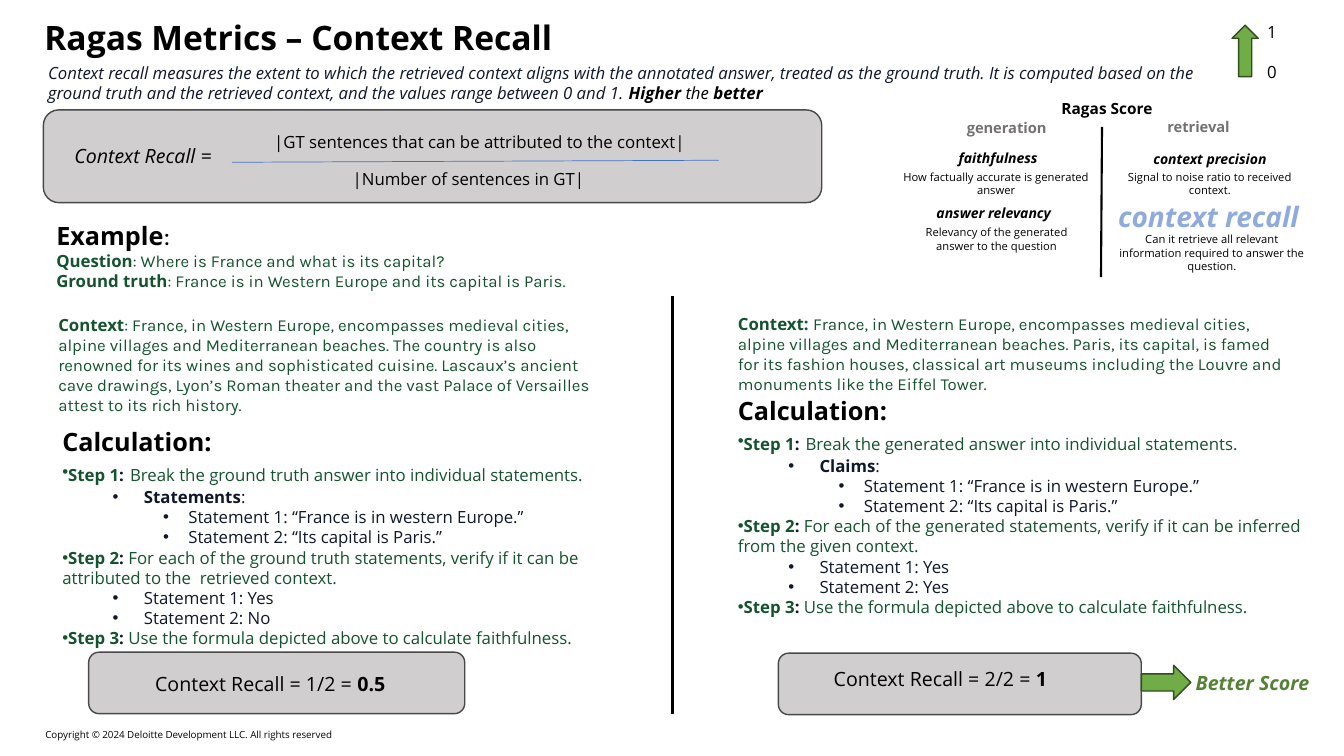
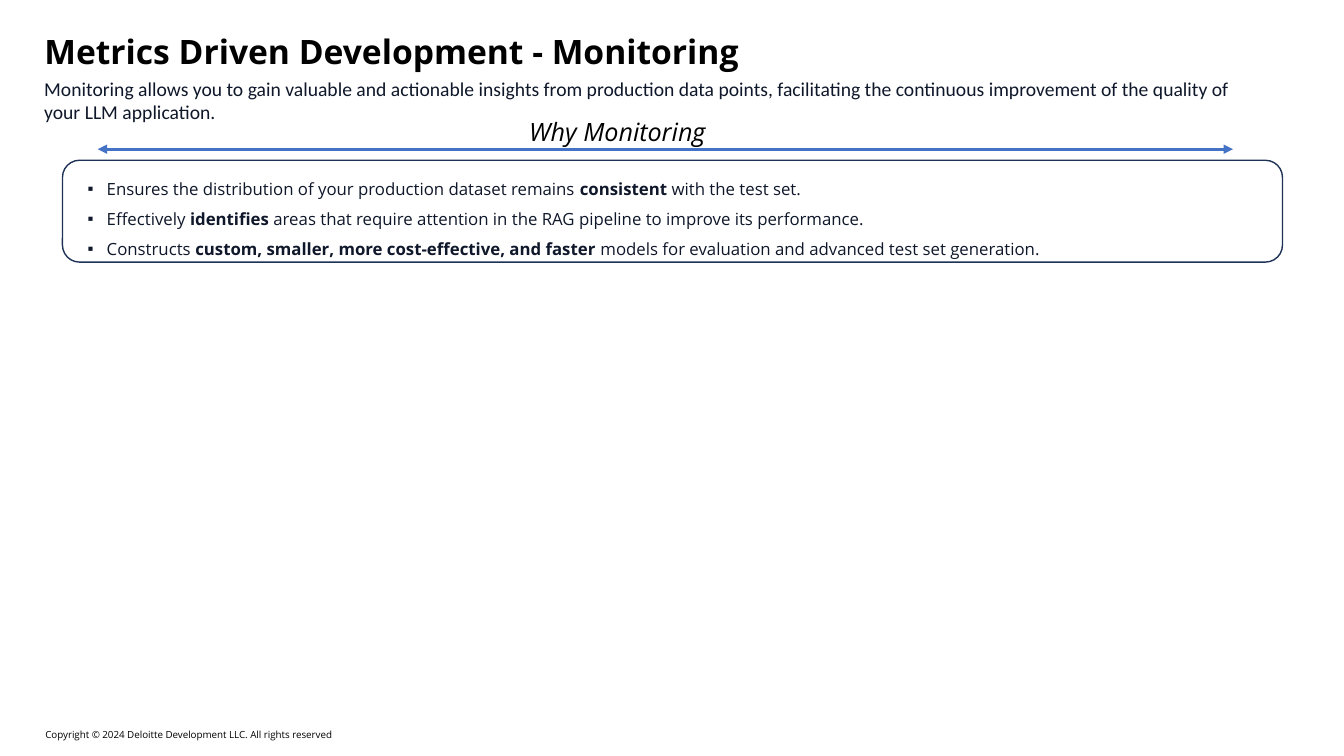
"""Build two slides on Ragas context recall and on monitoring."""
from lxml.etree import SubElement as Sub
from pptx import Presentation
from pptx.dml.color import RGBColor as Rgb
from pptx.enum.shapes import MSO_CONNECTOR as Link, MSO_SHAPE as Form
from pptx.enum.text import MSO_AUTO_SIZE as Auto, PP_ALIGN as Align
from pptx.oxml.ns import qn
from pptx.util import Inches as In, Pt


class Theme:
    """Colours, fonts and type sizes of the deck."""
    black, ink, forest, grey = "000000", "0F172A", "14532D", "767171"
    panel, edge, navy = "D0CECE", "484848", "1E3256"
    blue, pale = "4472C4", "8FAADC"
    leaf, stem, moss = "70AD47", "314C1F", "548235"
    sans, body, soft = "Open Sans", "Calibri", "Karla"
    title, focus, head, lead, text = 24, 20, 18, 14, 12
    score, label, term, note, foot = 11, 10.5, 10, 8, 7


T = Theme
BOLD = dict(bold=True)
SLANT = dict(italic=True)
GREEN = dict(color=T.forest)
STRONG = dict(font=T.sans, bold=True)
BULLETS = {0: (0, 0), 1: (0.81, -0.31), 2: (1.25, -0.25)}

FOOT = "Copyright © 2024 Deloitte Development LLC. All rights reserved"

RECALL = dict(
    title="Ragas Metrics – Context Recall",
    lead=[
        ("Context recall measures the extent to which the retrieved context aligns with the "
         "annotated answer, treated as the ground truth. It is computed based on the ground truth "
         "and the retrieved context, and the values range between 0 and 1.", dict(color=T.ink)),
        (" Higher", BOLD), (" the ", {}), ("better", BOLD)],
    sample=[
        [("Example", dict(size=T.head, color=T.black, **STRONG)),
         (":", dict(size=T.head, color=T.black, font=T.body))],
        [("Question", STRONG), ": Where is France and what is its capital?"],
        [("Ground truth", STRONG), ": France is in Western Europe and its capital is Paris."]],
)

KINDS = dict(
    score=dict(size=T.score, bold=True),
    label=dict(size=T.label, bold=True, color=T.grey, wrap=False),
    term=dict(size=T.term, bold=True, italic=True, wrap=False),
    focus=dict(size=T.focus, bold=True, italic=True, color=T.pale, wrap=False),
    note=dict(size=T.note, align=Align.CENTER),
)
SCORES = [
    ("score", (10.43, 0.93, 2.34, 0.29), "Ragas Score"),
    ("label", (9.49, 1.13, 1.01, 0.28), "generation"),
    ("label", (11.48, 1.12, 0.84, 0.28), "retrieval"),
    ("term", (9.41, 1.43, 1, 0.27), "faithfulness"),
    ("term", (9.19, 1.98, 1.36, 0.27), "answer relevancy"),
    ("term", (11.34, 1.44, 1.35, 0.27), "context precision"),
    ("focus", (10.99, 1.93, 2.01, 0.44), "context recall"),
    ("note", (8.84, 1.64, 2.08, 0.37), "How factually accurate is generated answer"),
    ("note", (8.89, 2.19, 1.99, 0.37), "Relevancy of the generated answer to the question"),
    ("note", (10.89, 1.64, 2.22, 0.37), "Signal to noise ratio to received context."),
    ("note", (11, 2.26, 2.04, 0.5),
     "Can it retrieve all relevant information required to answer the question."),
]

CASES = [
    dict(box=(0.48, 3.07, 5.69, 1.11), mark=("Context", ": "),
         context="France, in Western Europe, encompasses medieval cities, alpine villages and "
                 "Mediterranean beaches. The country is also renowned for its wines and "
                 "sophisticated cuisine. Lascaux’s ancient cave drawings, Lyon’s Roman theater "
                 "and the vast Palace of Versailles attest to its rich history.",
         calc=(0.52, 4.18, 6.1, 2.33), first="Break the ground truth answer into individual statements.",
         claims="Statements",
         second="For each of the ground truth statements, verify if it can be attributed to the  retrieved context.",
         votes=("Yes", "No"), panel=(0.88, 6.47, 3.73, 0.61),
         sum=(1.44, 6.62, 2.5, 0.34), ratio="1/2", value="0.5"),
    dict(box=(7.22, 3.06, 5.69, 0.91), mark=("Context: ", ""),
         context="France, in Western Europe, encompasses medieval cities, alpine villages and "
                 "Mediterranean beaches. Paris, its capital, is famed for its fashion houses, "
                 "classical art museums including the Louvre and monuments like the Eiffel Tower.",
         calc=(7.22, 3.87, 5.86, 2.33), first="Break the generated answer into individual statements.",
         claims="Claims",
         second="For each of the generated statements, verify if it can be inferred from the given context.",
         votes=("Yes", "Yes"), panel=(7.72, 6.48, 3.6, 0.61),
         sum=(8.17, 6.57, 2.34, 0.34), ratio="2/2", value="1"),
]
CLAIMS = ["“France is in western Europe.”", "“Its capital is Paris.”"]
LAST = "Use the formula depicted above to calculate faithfulness."

WATCH = dict(
    title="Metrics Driven Development - Monitoring",
    lead="Monitoring allows you to gain valuable and actionable insights from production data points, "
         "facilitating the continuous improvement of the quality of your LLM application.",
    head="Why Monitoring",
    points=[
        ["Ensures the distribution of your production dataset remains ", ("consistent", BOLD),
         " with the test set."],
        ["Effectively ", ("identifies", BOLD),
         " areas that require attention in the RAG pipeline to improve its performance."],
        ["Constructs ", ("custom, smaller, more cost-effective, and faster ", BOLD),
         "models for evaluation and advanced test set generation."]],
)


def put(slide, box, paras, size=T.text, wrap=True, inset=True, align=None, space=None, **base):
    """Add a text box; a paragraph is a string, a list of runs, or a dict with bullet keys."""
    frame = slide.shapes.add_textbox(*map(In, box)).text_frame
    frame.word_wrap = wrap
    frame.auto_size = Auto.SHAPE_TO_FIT_TEXT
    if not inset:
        frame.margin_left = frame.margin_right = frame.margin_top = frame.margin_bottom = 0
    for i, item in enumerate([paras] if isinstance(paras, str) else paras):
        para = frame.paragraphs[0] if i == 0 else frame.add_paragraph()
        spec = item if isinstance(item, dict) else dict(runs=item)
        if "bullet" in spec:
            dot(para, **{key: spec[key] for key in spec if key != "runs"})
        para.alignment = align
        para.line_spacing = space
        runs = spec["runs"]
        for part in [runs] if isinstance(runs, str) else runs:
            text, own = (part, {}) if isinstance(part, str) else part
            look = dict(size=size, font=T.sans, color=T.black, bold=False, italic=False) | base | own
            run = para.add_run()
            run.text = text
            run.font.size, run.font.name = Pt(look["size"]), look["font"]
            run.font.bold, run.font.italic = look["bold"], look["italic"]
            run.font.color.rgb = Rgb.from_string(look["color"])


def dot(para, bullet, indent, level=0):
    """Give a paragraph a bullet character and a hanging indent."""
    props = para._p.get_or_add_pPr()
    para.level = level
    props.set("marL", str(In(indent[0])))
    props.set("indent", str(In(indent[1])))
    Sub(props, qn("a:buFont"), typeface="Arial")
    Sub(props, qn("a:buChar"), char=bullet)


def shape(slide, form, box, fill=None, line=T.edge):
    """Add a preset shape with a one-point outline."""
    item = slide.shapes.add_shape(form, *map(In, box))
    item.shadow.inherit = False
    if fill:
        item.fill.solid()
        item.fill.fore_color.rgb = Rgb.from_string(fill)
    else:
        item.fill.background()
    item.line.color.rgb = Rgb.from_string(line)
    item.line.width = Pt(1)


def rule(slide, ends, color=T.black, width=1.5, heads=False):
    """Add a straight line, with arrowheads at both ends on request."""
    item = slide.shapes.add_connector(Link.STRAIGHT, *map(In, ends))
    item.line.color.rgb = Rgb.from_string(color)
    item.line.width = Pt(width)
    props = item._element.spPr
    if heads:
        for end in ("a:headEnd", "a:tailEnd"):
            Sub(props.find(qn("a:ln")), qn(end), type="triangle")
    Sub(props, qn("a:effectLst"))


def start(deck, title, top):
    """Add a blank slide with the shared footer and title."""
    slide = deck.slides.add_slide(deck.slide_layouts[6])
    put(slide, (0.45, 7.23, 4.66, 0.12), FOOT, size=T.foot, inset=False)
    put(slide, (0.44, top, 12.46, 0.4), title, size=T.title, bold=True, inset=False)
    return slide


def point(runs, level=0):
    """Return a bulleted paragraph for one outline level."""
    return dict(runs=runs, bullet="•", indent=BULLETS[level], level=level)


def step(num, text, gap=T.text, font=T.sans):
    """Return a numbered step, with its gap set in its own size and font."""
    return point([(f"Step {num}", BOLD | GREEN), (":", BOLD),
                  (" ", dict(size=gap, font=font)), (text, GREEN)])


def case(slide, data):
    """Draw one worked case: context, calculation and result."""
    name, tail = data["mark"]
    put(slide, data["box"], [[(name, STRONG), tail + data["context"]]], font=T.soft, **GREEN)
    put(slide, data["calc"], [
        [("Calculation:", dict(size=T.head, bold=True, color=T.black))],
        step(1, data["first"], T.head, T.soft),
        point([(data["claims"], BOLD), ":"], 1),
        *[point(f"Statement {i}: {claim}", 2) for i, claim in enumerate(CLAIMS, 1)],
        step(2, data["second"]),
        *[point(f"Statement {i}: {vote}", 1) for i, vote in enumerate(data["votes"], 1)],
        step(3, LAST)], color=T.ink)
    shape(slide, Form.ROUNDED_RECTANGLE, data["panel"], T.panel)
    put(slide, data["sum"], [[f"Context Recall = {data['ratio']} = ", (data["value"], BOLD)]],
        size=T.lead, wrap=False)


def recall(deck):
    """Build the context recall slide."""
    slide = start(deck, RECALL["title"], 0.17)
    for kind, box, text in SCORES:
        put(slide, box, text, **KINDS[kind])
    rule(slide, (10.93, 1.26, 10.92, 2.75))
    put(slide, (0.38, 0.57, 11.83, 0.5), [RECALL["lead"]], **SLANT)
    put(slide, (0.46, 2.14, 5.69, 0.81), RECALL["sample"], font=T.soft, **GREEN)
    shape(slide, Form.ROUNDED_RECTANGLE, (0.43, 1.09, 7.72, 0.92), T.panel)
    put(slide, (2.62, 1.26, 5, 0.3), "|GT sentences that can be attributed to the context|")
    put(slide, (3.4, 1.62, 3.5, 0.3), "|Number of sentences in GT|")
    put(slide, (0.64, 1.38, 1.63, 0.34), [[("Context Recall ", SLANT), "="]], size=T.lead, wrap=False)
    rule(slide, (2.3, 1.61, 7.13, 1.59), T.blue, 0.5)
    for data in CASES:
        case(slide, data)
    rule(slide, (6.67, 2.94, 6.67, 7.08))
    shape(slide, Form.RIGHT_ARROW, (11.32, 6.6, 0.49, 0.34), T.leaf, T.stem)
    put(slide, (11.76, 6.61, 1.34, 0.34), "Better Score", size=T.lead, wrap=False,
        color=T.moss, bold=True, italic=True)
    shape(slide, Form.UP_ARROW, (12.22, 0.25, 0.26, 0.51), T.leaf, T.stem)
    for mark, top in (("1", 0.17), ("0", 0.56)):
        put(slide, (12.47, top, 0.4, 0.3), mark)


def watch(deck):
    """Build the monitoring slide."""
    slide = start(deck, WATCH["title"], 0.31)
    put(slide, (0.34, 0.71, 12.28, 0.57), WATCH["lead"], size=T.lead, font=T.body, color=T.ink)
    rule(slide, (0.97, 1.48, 12.23, 1.48), T.blue, 2.25, heads=True)
    shape(slide, Form.ROUNDED_RECTANGLE, (0.62, 1.59, 12.1, 1.01), line=T.navy)
    put(slide, (5.15, 1.11, 1.97, 0.4), WATCH["head"], size=T.head, wrap=False, **SLANT)
    put(slide, (0.77, 1.62, 11.95, 0.98),
        [dict(runs=runs, bullet="▪", indent=(0.19, -0.19)) for runs in WATCH["points"]],
        space=1.5, color=T.ink)


def main():
    """Build and save the deck."""
    deck = Presentation()
    deck.slide_width, deck.slide_height = In(13.33), In(7.5)
    recall(deck)
    watch(deck)
    deck.save("out.pptx")


if __name__ == "__main__":
    main()
